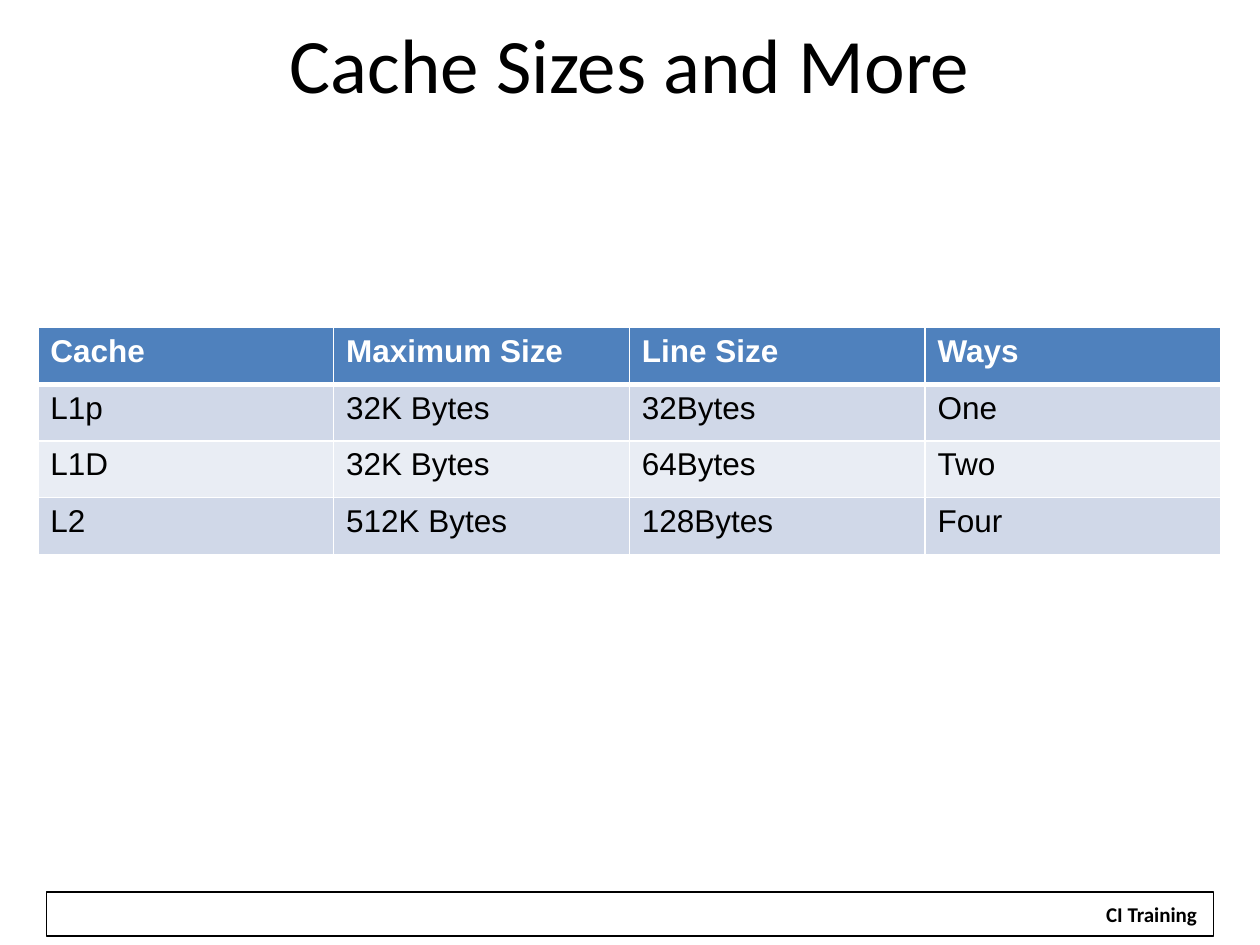
"""Build the cache sizes slide with its table and footer."""
from dataclasses import dataclass

from lxml.etree import SubElement
from pptx import Presentation
from pptx.dml.color import RGBColor as RGB
from pptx.enum.shapes import MSO_SHAPE as Shape
from pptx.enum.text import MSO_ANCHOR as Anchor, PP_ALIGN as Align
from pptx.oxml.ns import qn
from pptx.util import Inches, Pt


@dataclass(frozen=True)
class Theme:
    black: str = "000000"
    white: str = "FFFFFF"
    header: str = "4F81BD"
    bands: tuple = ("D0D8E8", "E9EDF4")
    heading_font: str = "Calibri"
    body_font: str = "Arial"
    title_size: int = 44
    table_size: int = 18
    footer_size: int = 12
    outline: float = 0.75
    rule: int = 1
    header_rule: int = 3


def write(tf, text, font, size, color, bold=False, align=Align.LEFT):
    p = tf.paragraphs[0]
    p.alignment = align
    r = p.add_run()
    r.text = text
    r.font.name, r.font.size, r.font.bold = font, Pt(size), bold
    r.font.color.rgb = RGB.from_string(color)


def set_border(cell, side, color, width):
    ln = SubElement(cell._tc.get_or_add_tcPr(), qn(f"a:ln{side}"), w=str(Pt(width)))
    fill = SubElement(ln, qn("a:solidFill"))
    SubElement(fill, qn("a:srgbClr"), val=color)


class SlideBuilder:
    def __init__(self, slide, theme):
        self.s, self.theme = slide, theme

    def box(self, x, y, w, h):
        sp = self.s.shapes.add_shape(
            Shape.RECTANGLE, Inches(x), Inches(y), Inches(w), Inches(h))
        sp.shadow.inherit = False
        sp.fill.background()
        sp.line.color.rgb = RGB.from_string(self.theme.black)
        sp.line.width = Pt(self.theme.outline)

    def text(self, text, x, y, w, h, fill=None, wrap=True, anchor=Anchor.TOP, **style):
        sp = self.s.shapes.add_textbox(Inches(x), Inches(y), Inches(w), Inches(h))
        if fill:
            sp.fill.solid()
            sp.fill.fore_color.rgb = RGB.from_string(fill)
        tf = sp.text_frame
        tf.word_wrap, tf.vertical_anchor = wrap, anchor
        write(tf, text, font=self.theme.heading_font, color=self.theme.black,
              align=Align.CENTER, **style)

    def table(self, rows, x, y, w, h):
        t = self.theme
        table = self.s.shapes.add_table(
            len(rows), len(rows[0]), Inches(x), Inches(y), Inches(w), Inches(h)).table
        for i, row in enumerate(rows):
            head = i == 0
            fill = t.header if head else t.bands[(i - 1) % len(t.bands)]
            widths = {"L": t.rule, "R": t.rule,
                      "T": t.header_rule if i == 1 else t.rule,
                      "B": t.header_rule if head else t.rule}
            for j, text in enumerate(row):
                cell = table.cell(i, j)
                for side, width in widths.items():
                    set_border(cell, side, t.white, width)
                cell.fill.solid()
                cell.fill.fore_color.rgb = RGB.from_string(fill)
                write(cell.text_frame, text, font=t.body_font, size=t.table_size,
                      color=t.white if head else t.black, bold=head)


def main():
    prs = Presentation()
    prs.slide_width, prs.slide_height = Inches(10), Inches(7.5)
    theme = Theme()
    slide = SlideBuilder(prs.slides.add_slide(prs.slide_layouts[6]), theme)
    slide.box(0.37, 7.08, 9.26, 0.35)
    slide.text("CI Training", 8.67, 7.11, 0.94, 0.3, fill=theme.white, wrap=False,
               size=theme.footer_size, bold=True)
    slide.text("Cache Sizes and More", 0.5, 0.08, 9, 0.83, anchor=Anchor.MIDDLE,
               size=theme.title_size)
    slide.table([
        ("Cache", "Maximum Size", "Line Size", "Ways"),
        ("L1p", "32K Bytes", "32Bytes", "One"),
        ("L1D", "32K Bytes", "64Bytes", "Two"),
        ("L2", "512K Bytes", "128Bytes", "Four"),
    ], 0.3, 2.6, 9.39, 1.8)
    prs.save("out.pptx")


if __name__ == "__main__":
    main()
